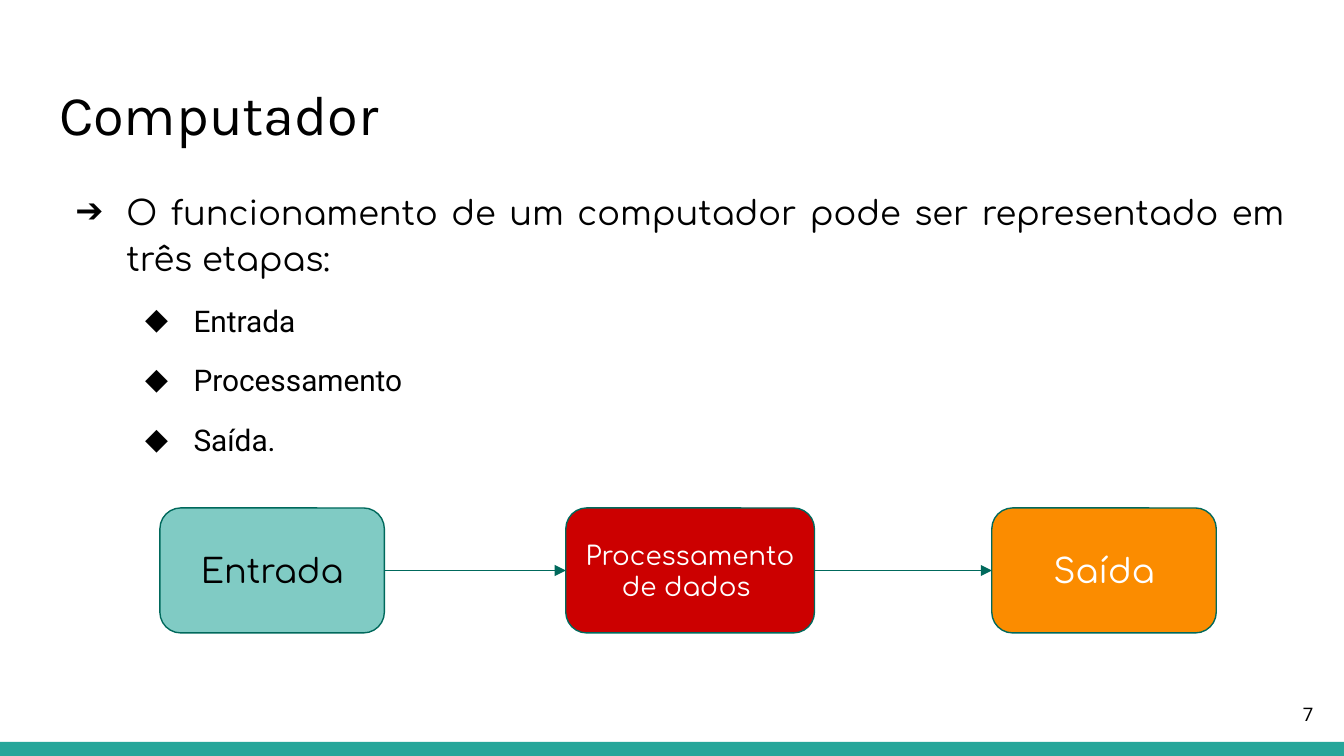
from lxml.etree import SubElement
from pptx import Presentation
from pptx.dml.color import RGBColor
from pptx.enum.shapes import MSO_CONNECTOR as CONN, MSO_SHAPE as SHAPE
from pptx.enum.text import MSO_ANCHOR as ANCHOR, MSO_AUTO_SIZE as AUTO, PP_ALIGN as ALIGN
from pptx.oxml.ns import qn
from pptx.util import Inches, Pt

TITLE = "Computador"
INTRO = "O funcionamento de um computador pode ser representado em três etapas:"
STEPS = ["Entrada", "Processamento", "Saída."]
PAGE = "7"
BLACK, WHITE, TEAL, DARK_TEAL = "000000", "FFFFFF", "26A69A", "00695C"
# text, left, width, fill, text colour, text size
BOXES = [
    ("Entrada", 1.19, 1.67, "80CBC4", BLACK, 18),
    ("Processamento de dados ", 4.21, 1.85, "CC0000", WHITE, 14),
    ("Saída", 7.38, 1.67, "FB8C00", WHITE, 18),
]
BOX_TOP, BOX_HEIGHT = 3.78, 0.93


def rgb(color):
    return RGBColor.from_string(color)


def place(sp, left, top, width, height):
    sp.left, sp.top = Inches(left), Inches(top)
    sp.width, sp.height = Inches(width), Inches(height)


def frame(sp, anchor):
    tf = sp.text_frame
    tf.word_wrap, tf.auto_size, tf.vertical_anchor = True, AUTO.NONE, anchor
    tf.margin_left = tf.margin_right = tf.margin_top = tf.margin_bottom = Inches(0.1)
    return tf


def write(p, text, font, size, align, color=BLACK):
    p.alignment = align
    r = p.add_run()
    r.text = text
    r.font.name, r.font.size = font, Pt(size)
    r.font.color.rgb = rgb(color)


def add_bullet(p, char, font, indent, hanging):
    pPr = p._p.get_or_add_pPr()
    pPr.set("marL", str(Inches(indent)))
    pPr.set("indent", str(-Inches(hanging)))
    color = SubElement(pPr, qn("a:buClr"))
    SubElement(color, qn("a:srgbClr"), val=BLACK)
    SubElement(pPr, qn("a:buFont"), typeface=font)
    SubElement(pPr, qn("a:buChar"), char=char)


def add_block(s, kind, left, top, width, height, fill):
    sp = s.shapes.add_shape(kind, Inches(left), Inches(top), Inches(width), Inches(height))
    sp.shadow.inherit = False
    sp.fill.solid()
    sp.fill.fore_color.rgb = rgb(fill)
    sp.line.fill.background()
    return sp


def outline(line):
    line.color.rgb, line.width = rgb(DARK_TEAL), Pt(0.75)


def add_arrow(s, start, end):
    """Join the right side of one box to the left side of the next."""
    cx = s.shapes.add_connector(CONN.STRAIGHT, 0, 0, 0, 0)
    cx.begin_connect(start, 3)
    cx.end_connect(end, 1)
    outline(cx.line)
    SubElement(cx.line._get_or_add_ln(), qn("a:tailEnd"), type="triangle")
    SubElement(cx._element.spPr, qn("a:effectLst"))


prs = Presentation()
prs.slide_width = Inches(10)
prs.slide_height = prs.slide_width * 9 // 16
s = prs.slides.add_slide(prs.slide_layouts[1])
title, body = s.placeholders

add_block(s, SHAPE.RECTANGLE, 0, 5.52, 10, 0.11, TEAL)

place(title, 0.34, 0.49, 9.32, 0.67)
write(frame(title, ANCHOR.TOP).paragraphs[0], TITLE, "Karla", 30, ALIGN.LEFT)

place(body, 0.34, 1.28, 9.32, 3.72)
tf = frame(body, ANCHOR.TOP)
p = tf.paragraphs[0]
p.line_spacing, p.space_before = 1.15, Pt(0)
write(p, INTRO, "Comfortaa", 18, ALIGN.JUSTIFY)
add_bullet(p, "➔", "Comfortaa", 0.5, 0.38)
for step in STEPS:
    p = tf.add_paragraph()
    p.level, p.line_spacing, p.space_before = 1, 1.15, Pt(10)
    write(p, step, "Roboto", 16, ALIGN.JUSTIFY)
    add_bullet(p, "◆", "Comfortaa", 1, 0.36)
p.space_after = Pt(10)

number = s.shapes.add_textbox(Inches(9.27), Inches(5.1), Inches(0.6), Inches(0.43))
write(frame(number, ANCHOR.MIDDLE).paragraphs[0], PAGE, "Roboto", 10, ALIGN.RIGHT)

boxes = []
for text, left, width, fill, color, size in BOXES:
    box = add_block(s, SHAPE.ROUNDED_RECTANGLE, left, BOX_TOP, width, BOX_HEIGHT, fill)
    outline(box.line)
    write(frame(box, ANCHOR.MIDDLE).paragraphs[0], text, "Comfortaa", size, ALIGN.CENTER, color)
    boxes.append(box)
for start, end in zip(boxes, boxes[1:]):
    add_arrow(s, start, end)

prs.save("out.pptx")
